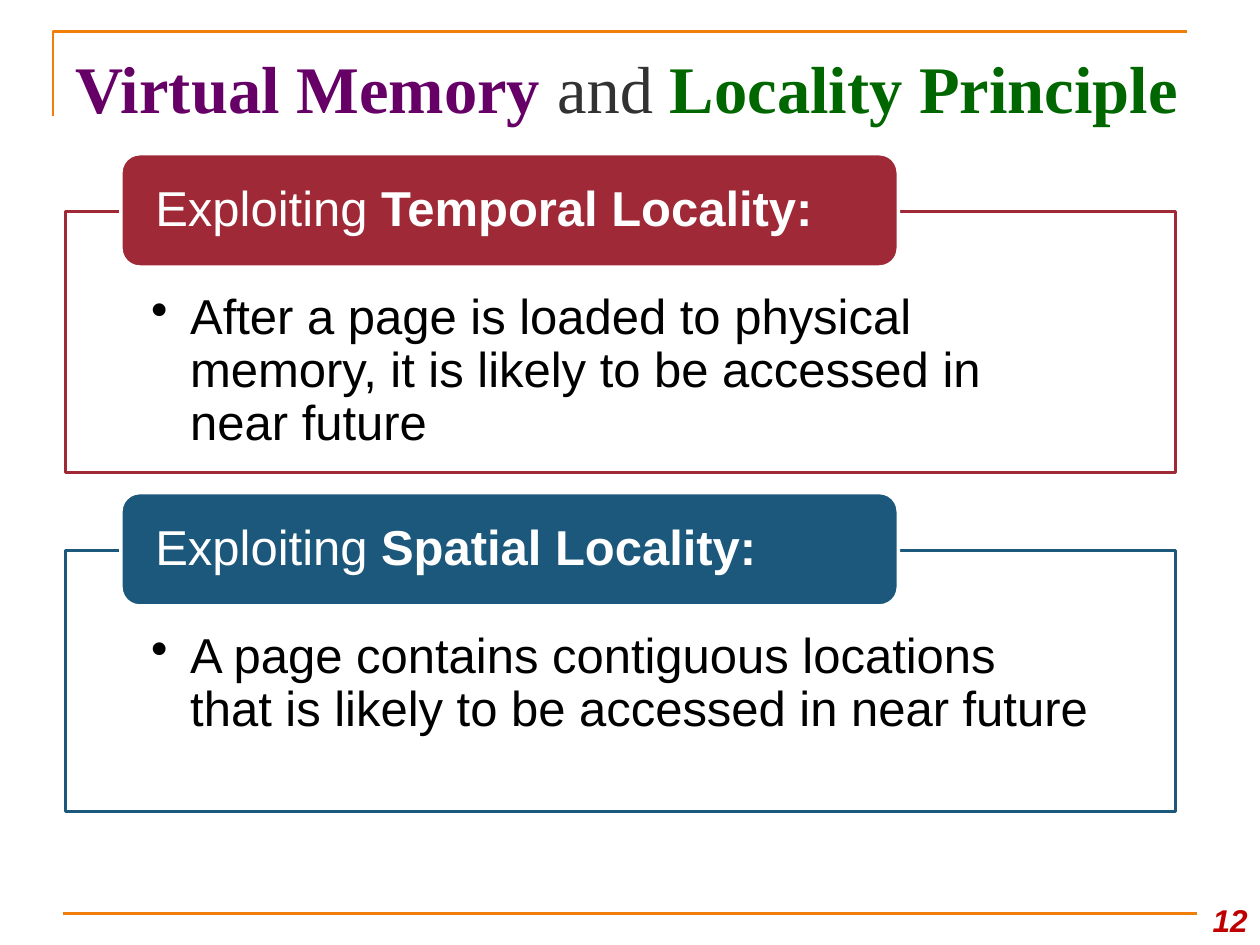
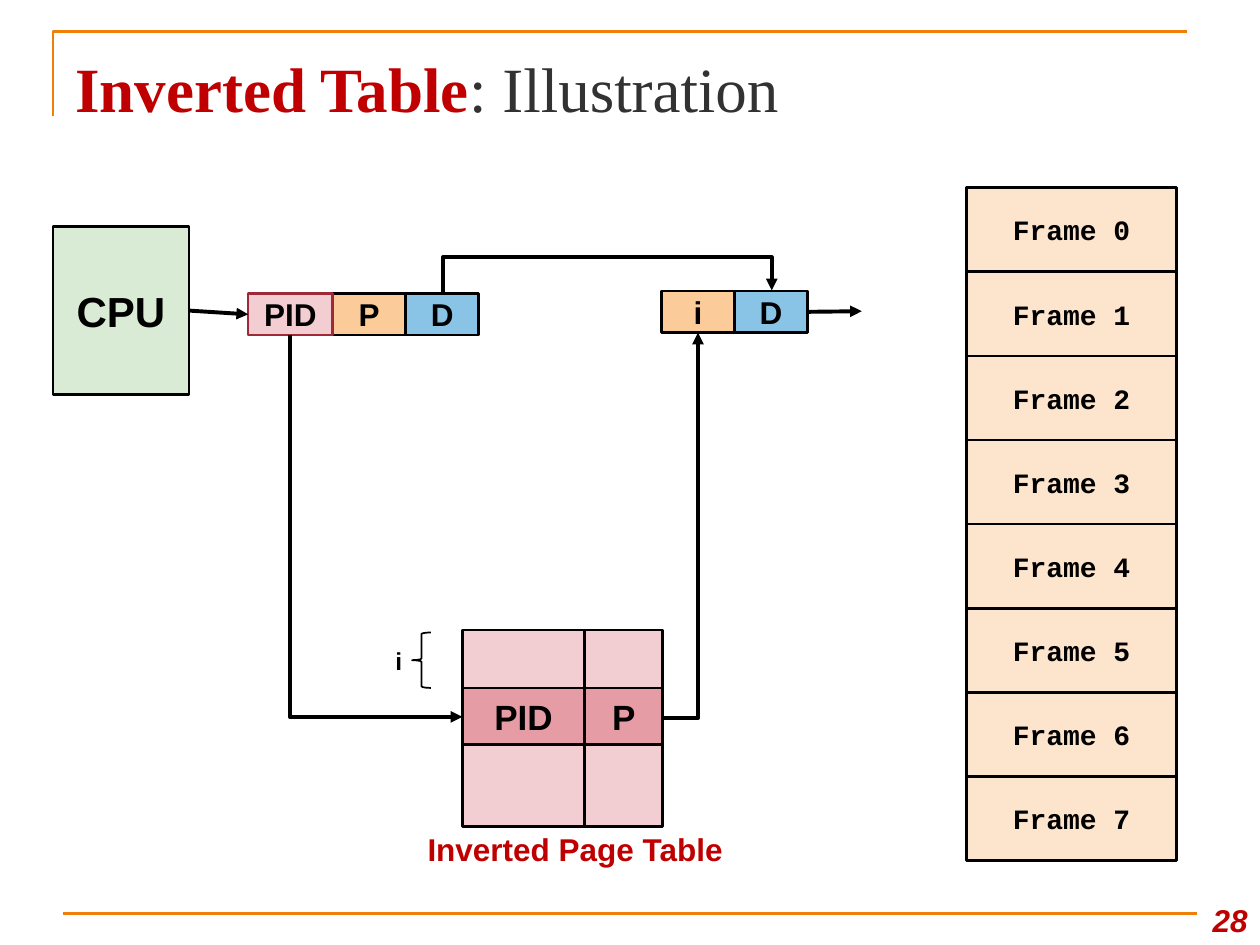
from dataclasses import dataclass

from lxml import etree
from pptx import Presentation
from pptx.dml.color import RGBColor
from pptx.enum.shapes import MSO_CONNECTOR, MSO_SHAPE
from pptx.enum.text import MSO_ANCHOR, PP_ALIGN
from pptx.oxml.ns import qn
from pptx.util import Inches, Pt

RECTANGLE, ROUNDED = MSO_SHAPE.RECTANGLE, MSO_SHAPE.ROUNDED_RECTANGLE
LEFT_BRACE = MSO_SHAPE.LEFT_BRACE
STRAIGHT, ELBOW = MSO_CONNECTOR.STRAIGHT, MSO_CONNECTOR.ELBOW
TOP, MIDDLE, BOTTOM = MSO_ANCHOR.TOP, MSO_ANCHOR.MIDDLE, MSO_ANCHOR.BOTTOM
LEFT, CENTER, RIGHT = PP_ALIGN.LEFT, PP_ALIGN.CENTER, PP_ALIGN.RIGHT
LEFT_SIDE, RIGHT_SIDE = 1, 3


@dataclass(frozen=True)
class Theme:
    serif: str = "Times New Roman"
    sans: str = "Arial"
    mono: str = "Courier New"
    black: str = "000000"
    white: str = "FFFFFF"
    gray: str = "323232"
    orange: str = "F07F09"
    red: str = "C00000"
    purple: str = "660066"
    green: str = "006600"
    crimson: str = "9F2936"
    navy: str = "1B587C"
    pale_green: str = "D9EAD5"
    peach: str = "FBCC9A"
    pale_peach: str = "FDE5CD"
    sky: str = "89C3E5"
    pink: str = "F2CED2"
    rose: str = "E69CA4"
    wide_title: int = 38
    title: int = 36
    body: int = 28
    cpu: int = 24
    entry: int = 20
    label: int = 18
    frame: int = 16
    index: int = 14
    rule: float = 1.5
    panel_line: float = 2
    arrow: float = 2.25


THEME = Theme()


def rgb(color):
    return RGBColor.from_string(color)


def write(shape, *spans, size=THEME.label, font=THEME.sans, color=THEME.black,
          bold=False, italic=False, align=LEFT, anchor=MIDDLE, spacing=None,
          insets=None, bullet=False, wrap=True):
    """Fill a shape with one paragraph; a span is text or (text, overrides)."""
    frame = shape.text_frame
    frame.word_wrap = wrap
    frame.vertical_anchor = anchor
    if insets:
        (frame.margin_left, frame.margin_top,
         frame.margin_right, frame.margin_bottom) = map(Inches, insets)
    para = frame.paragraphs[0]
    if bullet:
        properties = para._p.get_or_add_pPr()
        properties.set("marL", str(Inches(0.31)))
        properties.set("indent", str(Inches(-0.31)))
        etree.SubElement(properties, qn("a:buChar")).set("char", "•")
    para.alignment = align
    if spacing:
        para.line_spacing = spacing
    for span in spans:
        text, changes = (span, {}) if isinstance(span, str) else span
        run = para.add_run()
        run.text = text
        run.font.name = font
        run.font.size = Pt(size)
        run.font.bold = changes.get("bold", bold)
        run.font.italic = italic
        run.font.color.rgb = rgb(changes.get("color", color))


def add_text(page, place, *spans, **text_format):
    box = page.shapes.add_textbox(*map(Inches, place))
    write(box, *spans, **text_format)


def add_box(page, place, fill=None, line=THEME.black, width=THEME.rule, kind=RECTANGLE):
    box = page.shapes.add_shape(kind, *map(Inches, place))
    box.shadow.inherit = False
    if fill:
        box.fill.solid()
        box.fill.fore_color.rgb = rgb(fill)
    else:
        box.fill.background()
    box.line.color.rgb = rgb(line)
    box.line.width = Pt(width)
    return box


def add_cell(page, place, label, fill, line=THEME.black, **text_format):
    """Add a diagram box with a bold centred label."""
    cell = add_box(page, place, fill, line)
    write(cell, label, bold=True, align=CENTER, **text_format)
    return cell


def add_line(page, start, end, color=THEME.black, width=THEME.arrow, kind=STRAIGHT, arrow=True):
    connector = page.shapes.add_connector(kind, *map(Inches, (*start, *end)))
    connector.line.color.rgb = rgb(color)
    connector.line.width = Pt(width)
    if arrow:
        etree.SubElement(connector.line._get_or_add_ln(), qn("a:tailEnd")).set("type", "triangle")
    etree.SubElement(connector._element.spPr, qn("a:effectLst"))
    return connector


def add_bent_arrow(page, place, preset, rotation=0, flips="", bend=None):
    """Add an elbow arrow from its unrotated frame; bend is a share of its width."""
    left, top, width, height = place
    connector = add_line(page, (left, top), (left + width, top + height), kind=ELBOW)
    properties = connector._element.spPr
    transform = properties.find(qn("a:xfrm"))
    transform.set("rot", str(rotation * 60000))
    for flip in flips:
        transform.set("flip" + flip, "1")
    geometry = properties.find(qn("a:prstGeom"))
    geometry.set("prst", preset)
    if bend is not None:
        guide = etree.SubElement(geometry.find(qn("a:avLst")), qn("a:gd"))
        guide.set("name", "adj1")
        guide.set("fmla", f"val {round(bend * 100000)}")


def add_page(deck, number, *title, title_size=THEME.title):
    """Add a slide with the shared rules, title and page number."""
    page = deck.slides.add_slide(deck.slide_layouts[6])
    builder = page.shapes.build_freeform(Inches(0.42), Inches(0.92))
    builder.add_line_segments([(Inches(0.42), Inches(0.25)), (Inches(9.42), Inches(0.25))], close=False)
    corner = builder.convert_to_shape()
    corner.shadow.inherit = False
    corner.fill.background()
    corner.line.color.rgb = rgb(THEME.orange)
    corner.line.width = Pt(THEME.rule)
    add_line(page, (0.5, 7.25), (9.5, 7.25), THEME.orange, THEME.rule, arrow=False)
    add_text(page, (0.5, 0.3, 9, 0.78), *title, size=title_size, font=THEME.serif,
             color=THEME.gray, wrap=False)
    add_text(page, (9.42, 7, 0.58, 0.5), str(number), color=THEME.red, bold=True,
             italic=True, align=RIGHT, anchor=BOTTOM)
    return page


def add_panel(page, top, color, heading, detail):
    """Add an outlined panel with a coloured heading tab over its top edge."""
    panel = add_box(page, (0.52, top + 0.46, 8.81, 2.07), THEME.white, color, THEME.panel_line)
    write(panel, detail, size=THEME.body, anchor=TOP, spacing=0.9,
          insets=(0.68, 0.64, 0.68, 0.22), bullet=True)
    tab = add_box(page, (0.96, top, 6.17, 0.9), color, THEME.white, THEME.panel_line, ROUNDED)
    write(tab, "Exploiting ", (heading, {"bold": True}), size=THEME.body,
          color=THEME.white, spacing=0.9, insets=(0.23, 0, 0.23, 0))


def build_locality(deck):
    page = add_page(deck, 12,
                    ("Virtual Memory ", {"color": THEME.purple, "bold": True}), "and ",
                    ("Locality Principle", {"color": THEME.green, "bold": True}),
                    title_size=THEME.wide_title)
    panels = (
        (THEME.crimson, "Temporal Locality:",
         "After a page is loaded to physical memory, it is likely to be accessed in near future"),
        (THEME.navy, "Spatial Locality:",
         "A page contains contiguous locations that is likely to be accessed in near future"),
    )
    for index, panel in enumerate(panels):
        add_panel(page, 1.22 + 2.69 * index, *panel)


def add_addresses(page):
    """Add the CPU, its logical address and the resulting physical address."""
    cpu = add_cell(page, (0.42, 1.8, 1.08, 1.33), "CPU", THEME.pale_green, size=THEME.cpu)
    add_cell(page, (2.64, 2.33, 0.58, 0.33), "P", THEME.peach)
    add_cell(page, (3.22, 2.33, 0.58, 0.33), "D", THEME.sky)
    process = add_cell(page, (1.97, 2.33, 0.67, 0.33), "PID", THEME.pink, THEME.crimson)
    add_cell(page, (5.25, 2.31, 0.58, 0.33), "i", THEME.peach)
    offset = add_cell(page, (5.83, 2.31, 0.58, 0.33), "D", THEME.sky)
    request = add_line(page, (1.5, 2.47), (1.97, 2.47))
    request.begin_connect(cpu, RIGHT_SIDE)
    request.end_connect(process, LEFT_SIDE)
    add_line(page, (6.41, 2.47), (6.84, 2.47)).begin_connect(offset, RIGHT_SIDE)


def add_page_table(page):
    for left, width, label in ((4.64, 0.62, "P"), (3.67, 0.97, "PID")):
        add_box(page, (left, 5, width, 1.56), THEME.pink)
        add_cell(page, (left, 5.46, width, 0.45), label, THEME.rose, size=THEME.entry)
    add_text(page, (3.23, 6.49, 2.67, 0.49), "Inverted Page Table",
             color=THEME.red, bold=True, align=CENTER)
    add_box(page, (3.27, 5.02, 0.15, 0.44), width=1, kind=LEFT_BRACE)
    add_text(page, (2.98, 4.99, 0.37, 0.51), "i", size=THEME.index, bold=True, align=CENTER)


def build_inverted_table(deck):
    page = add_page(deck, 28, ("Inverted Table", {"color": THEME.red, "bold": True}),
                    ": Illustration")
    add_addresses(page)
    frame_height = 5.34 / 8
    for index in range(8):
        add_cell(page, (7.67, 1.49 + index * frame_height, 1.67, frame_height),
                 f"Frame {index}", THEME.pale_peach, size=THEME.frame, font=THEME.mono)
    add_page_table(page)
    add_bent_arrow(page, (4.81, 1.01, 0.02, 2.61), "bentConnector3", 90, "HV", bend=14.13)
    add_bent_arrow(page, (5.26, 2.64, 0.28, 3.06), "bentConnector2", flips="V")
    add_bent_arrow(page, (1.47, 3.49, 3.03, 1.37), "bentConnector2", 270, "H")


def main():
    deck = Presentation()
    deck.slide_width, deck.slide_height = Inches(10), Inches(7.5)
    build_locality(deck)
    build_inverted_table(deck)
    deck.save("out.pptx")


if __name__ == "__main__":
    main()
